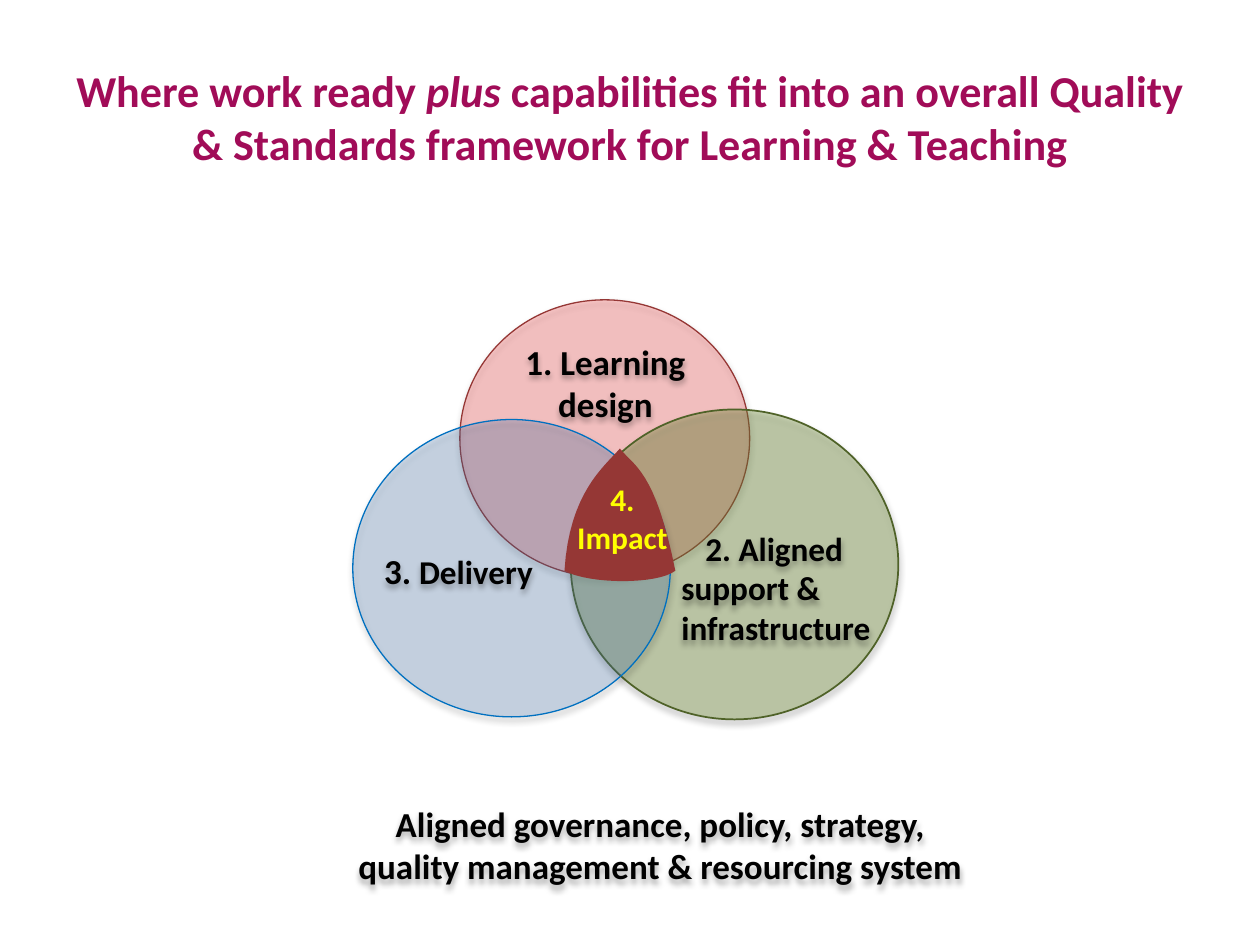
"""Build the learning and teaching quality framework slide with its three-circle Venn diagram."""
import pptx
import pptx.dml.color
import pptx.enum.shapes
import pptx.enum.text
import pptx.oxml
import pptx.oxml.ns
import pptx.util

COLOURS = {
    "title": "A10C58", "text": "000000", "highlight": "FFFF00", "panel": "FFFFFF",
    "design": "FF0000", "design_edge": "953735",
    "support": "77933C", "support_edge": "4F6228",
    "delivery": "4F81BD", "delivery_edge": "0070C0", "impact": "953735",
}
SHADOW = (
    f'<a:effectLst {pptx.oxml.ns.nsdecls("a")}>'
    '<a:outerShdw blurRad="44450" dist="27940" dir="5400000" algn="ctr" rotWithShape="0">'
    '<a:srgbClr val="000000"><a:alpha val="32000"/></a:srgbClr>'
    '</a:outerShdw></a:effectLst>'
)
RGB = pptx.dml.color.RGBColor.from_string
SHAPES = pptx.enum.shapes.MSO_SHAPE
CENTER = pptx.enum.text.PP_ALIGN.CENTER
LEFT = pptx.enum.text.PP_ALIGN.LEFT

deck = pptx.Presentation()
deck.slide_width = pptx.util.Inches(10)
deck.slide_height = pptx.util.Inches(7.5)
column = deck.slide_width / 100
row = deck.slide_height / 75
slide = deck.slides.add_slide(deck.slide_layouts[6])


def add_label(box, lines, size, colour="text", wrap=True, shadow=True):
    left, top, width, height = box
    label = slide.shapes.add_textbox(
        round(left * column), round(top * row), round(width * column), round(height * row))
    frame = label.text_frame
    frame.word_wrap = wrap
    for number, (words, alignment) in enumerate(lines):
        paragraph = frame.add_paragraph() if number else frame.paragraphs[0]
        paragraph.alignment = alignment
        paragraph.font.name = "Calibri"
        paragraph.font.size = pptx.util.Pt(size)
        paragraph.font.bold = True
        paragraph.font.color.rgb = RGB(COLOURS[colour])
        for text in words:
            paragraph.add_run().text = text
    if shadow:
        label._element.spPr.append(pptx.oxml.parse_xml(SHADOW))
    return frame


def add_area(kind, box, fill, edge, weight):
    left, top, width, height = box
    area = slide.shapes.add_shape(
        kind, round(left * column), round(top * row), round(width * column), round(height * row))
    area.shadow.inherit = False
    area.fill.solid()
    area.fill.fore_color.rgb = RGB(COLOURS[fill])
    area.line.color.rgb = RGB(COLOURS[edge])
    area.line.width = pptx.util.Pt(weight)
    return area


title = add_label(
    (5, 3, 90, 12.5),
    [(["Where work ready ", "plus",
       " capabilities fit into an overall Quality & Standards framework for Learning & Teaching"], CENTER)],
    25.2, "title", shadow=False)
title.vertical_anchor = pptx.enum.text.MSO_ANCHOR.MIDDLE
title.paragraphs[0].runs[1].font.italic = True

add_area(SHAPES.RECTANGLE, (17.7, 19.9, 65.4, 55.1), "panel", "panel", 2)

circles = [
    ("design", (36.5, 23.8, 23, 22), 20, 0.75, (39, 26.5, 18.1, 7.7), 20, True,
     [(["1. Learning design"], CENTER)]),
    ("support", (45.3, 32.5, 26, 24.6), 37, 1, (53.1, 41.4, 17.3, 10.6), 19, False,
     [(["2. Aligned "], CENTER), (["support &"], LEFT), (["infrastructure"], LEFT)]),
    ("delivery", (28, 33.3, 25.2, 23.6), 25, 0.75, (29.5, 43.1, 14, 4.4), 20, False,
     [(["3. ", "Delivery"], LEFT)]),
]
for theme, circle_box, opacity, weight, label_box, size, wrap, lines in circles:
    circle = add_area(SHAPES.OVAL, circle_box, theme, f"{theme}_edge", weight)
    properties = circle._element.spPr
    tint = properties.find(pptx.oxml.ns.qn("a:solidFill"))[0]
    tint.append(pptx.oxml.parse_xml(
        f'<a:alpha {pptx.oxml.ns.nsdecls("a")} val="{opacity * 1000}"/>'))
    properties.replace(properties.find(pptx.oxml.ns.qn("a:effectLst")), pptx.oxml.parse_xml(SHADOW))
    circle_label = add_label(label_box, lines, size, wrap=wrap)
circle_label.paragraphs[0].runs[1].font.size = pptx.util.Pt(19)

add_label(
    (26.4, 63.2, 52, 7.7),
    [(["Aligned governance, policy, strategy, quality management & resourcing system"], CENTER)], 20)

impact_curves = [
    ((44.8, 45.3), (45.2, 39.1), (47.9, 37.1), (49.2, 35.6)),
    ((49.2, 35.6), (50.3, 37), (52, 37.3), (53.6, 45.3)),
    ((53.6, 45.3), (52.2, 46.4), (46.8, 46.4), (44.8, 45.3)),
]
steps = 16
outline = []
for curve in impact_curves:
    for step in range(1, steps + 1):
        t = step / steps
        weights = ((1 - t) ** 3, 3 * t * (1 - t) ** 2, 3 * t ** 2 * (1 - t), t ** 3)
        x, y = (sum(w * point[axis] for w, point in zip(weights, curve)) for axis in (0, 1))
        outline.append((round(x * column), round(y * row)))
start_x, start_y = impact_curves[0][0]
builder = slide.shapes.build_freeform(round(start_x * column), round(start_y * row))
builder.add_line_segments(outline, close=True)
impact = builder.convert_to_shape()
impact.shadow.inherit = False
impact.fill.solid()
impact.fill.fore_color.rgb = RGB(COLOURS["impact"])
impact.line.fill.background()
add_label((44, 37.6, 10.8, 7.1), [(["4."], CENTER), (["Impact"], CENTER)], 18, "highlight", shadow=False)

deck.save("out.pptx")
